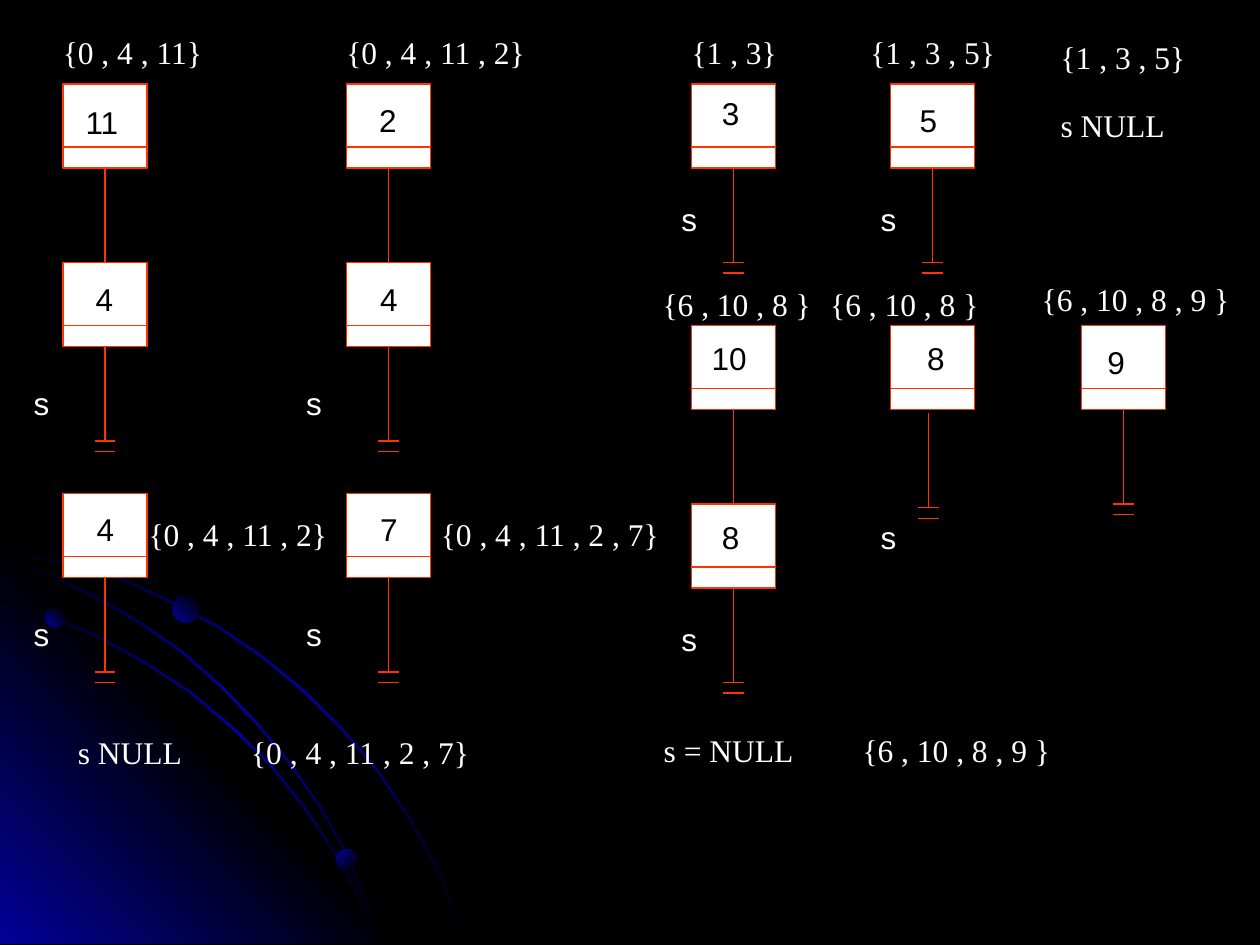
from lxml import etree
from pptx import Presentation
from pptx.dml.color import RGBColor
from pptx.enum import shapes, text
from pptx.oxml.ns import qn
from pptx.util import Pt

BLACK = RGBColor(0x00, 0x00, 0x00)
WHITE = RGBColor(0xFF, 0xFF, 0xFF)
ORANGE = RGBColor(0xFF, 0x33, 0x00)
BLUE = RGBColor(0x01, 0x01, 0x99)

SANS, SERIF = "Arial", "Times New Roman"
NODE, DIVIDER, STEM = 48, 36, 54
BAR_HALF, BAR_GAP = 6, 6
COL_A, COL_B, COL_C, COL_D, COL_E = 36, 198, 395.3, 509, 618

ARCS = [
    [(0, 313.2), (20.2, 317.5), (41, 321.8), (70.6, 330.5), (97.9, 343.4),
     (125.3, 357.8), (150.5, 375.1), (174.2, 394.6), (195.8, 416.2), (216, 439.9),
     (234, 466.6), (244.1, 484.6), (253.4, 502.6), (260.6, 520.6), (267.8, 539.3)],
    [(0, 342), (29.5, 351.4), (56.9, 363.6), (84.2, 378.7), (109.4, 395.3),
     (132.5, 414.7), (154.8, 436.3), (174.2, 460.8), (191.5, 486.7),
     (205.9, 512.6), (213.1, 525.6), (218.2, 539.3)],
    [(0, 318.2), (28.1, 327.6), (54.7, 340.6), (79.9, 355), (103.7, 371.5),
     (126, 391), (146.9, 412.6), (164.9, 434.2), (182.9, 460.1),
     (193.7, 478.8), (203, 499), (211.7, 518.4), (218.2, 539.3)],
]
CORNER = [(231.8, 539.3), (0, 539.3), (0, 307.4)]
PLANETS = [(25.9, 347.8, 10.8, 315), (192.2, 485.3, 11.5, 45), (98.6, 340.6, 15.1, 315)]

CHAINS = [
    (COL_A, 48, ["11", "4"], 102),
    (COL_B, 48, ["2", "4"], 102),
    (COL_A, 282, ["4"], 0),
    (COL_B, 282, ["7"], 0),
    (COL_C, 48, ["3"], 0),
    (COL_D, 48, ["5"], 0),
    (COL_C, 186, ["10", "8"], 102),
    (COL_E, 186, ["9"], 0),
]
VALUES = [
    ("11", 41.8, 55.4), ("2", 209.5, 54), ("4", 47.5, 156.2), ("4", 210.2, 156.2),
    ("4", 48.2, 288), ("7", 210.2, 288), ("3", 405.4, 50.4), ("5", 518.4, 54),
    ("10", 399.6, 190.1), ("8", 522.7, 190.1), ("9", 625.7, 192.2), ("8", 405.4, 292.3),
]
POINTERS = [(12.2, 347.8), (167.8, 347.8), (12.2, 216), (167.8, 216),
            (382.3, 110.9), (496.1, 110.9), (382.3, 350.6), (496.1, 292.3)]
STATES = [
    ("{0 , 4 , 11}", 28.8, 15.1, 100), ("{0 , 4 , 11 , 2}", 190.8, 15.1, 122.4),
    ("{0 , 4 , 11 , 2}", 77.8, 290.9, 122.4), ("{0 , 4 , 11 , 2 , 7}", 244.8, 290.9, 144.7),
    ("s NULL", 37.4, 415.4, 79.2), ("{0 , 4 , 11 , 2 , 7}", 136.4, 415.4, 144.7),
    ("{1 , 3}", 388.1, 15.1, 68.4), ("{1 , 3 , 5}", 490.3, 15.1, 90.7),
    ("{1 , 3 , 5}", 599, 18, 90.7), ("s NULL", 599, 56.9, 79.2),
    ("{6 , 10 , 8 }", 371.5, 159.1, 104.4), ("{6 , 10 , 8 }", 467.3, 159.1, 104.4),
    ("{6 , 10 , 8 , 9 }", 588.2, 156.2, 126.7),
    ("s = NULL", 372.2, 414, 93), ("{6 , 10 , 8 , 9 }", 485.8, 414, 126.7),
]


def fade(shape, colors, angle):
    shape.shadow.inherit = False
    shape.line.fill.background()
    shape.fill.gradient()
    shape.fill.gradient_angle = 360 - angle
    stops = shape._element.spPr.find(".//" + qn("a:gsLst"))
    for stop in list(stops):
        stops.remove(stop)
    for index, color in enumerate(colors):
        position = 100000 * index // (len(colors) - 1)
        stop = etree.SubElement(stops, qn("a:gs"), pos=str(position))
        etree.SubElement(stop, qn("a:srgbClr"), val=str(color))


def add_outline(slide, points, colors, angle):
    corners = [(Pt(x), Pt(y)) for x, y in points]
    builder = slide.shapes.build_freeform(*corners[0], scale=1.0)
    builder.add_line_segments(corners[1:], close=True)
    fade(builder.convert_to_shape(), colors, angle)


def add_arc(slide, outer):
    last = len(outer) - 1
    inner = [(x - 1.44 * i / last, y + 1.8 * (1 - i / last)) if i else (x, y + 1.8)
             for i, (x, y) in enumerate(outer)]
    add_outline(slide, outer + inner[::-1], [BLACK, BLUE, BLACK], 45)


def add_planet(slide, left, top, size, angle):
    planet = slide.shapes.add_shape(
        shapes.MSO_SHAPE.OVAL, Pt(left), Pt(top), Pt(size), Pt(size))
    fade(planet, [BLUE, BLACK], angle)


def add_line(slide, x1, y1, x2, y2):
    line = slide.shapes.add_connector(
        shapes.MSO_CONNECTOR.STRAIGHT, Pt(x1), Pt(y1), Pt(x2), Pt(y2))
    line.line.color.rgb = ORANGE
    line.line.width = Pt(0.75)
    etree.SubElement(line._element.spPr, qn("a:effectLst"))
    return line


def add_node(slide, left, top):
    node = slide.shapes.add_shape(
        shapes.MSO_SHAPE.RECTANGLE, Pt(left), Pt(top), Pt(NODE), Pt(NODE))
    node.shadow.inherit = False
    node.fill.solid()
    node.fill.fore_color.rgb = WHITE
    node.line.color.rgb = ORANGE
    node.line.width = Pt(0.75)
    add_line(slide, left, top + DIVIDER, left + NODE, top + DIVIDER)
    return node


def add_ground(slide, center, top):
    stem = add_line(slide, center, top, center, top + STEM)
    for y in (top + STEM, top + STEM + BAR_GAP):
        add_line(slide, center - BAR_HALF, y, center + BAR_HALF, y)
    return stem


def add_chain(slide, left, top, values, pitch):
    center = left + NODE / 2
    nodes = [add_node(slide, left, top + pitch * i) for i in range(len(values))]
    for upper, lower in zip(nodes, nodes[1:]):
        link = add_line(slide, center, top + NODE, center, top + pitch)
        link.begin_connect(upper, 2)
        link.end_connect(lower, 0)
    bottom = top + pitch * (len(nodes) - 1) + NODE
    add_ground(slide, center, bottom).begin_connect(nodes[-1], 2)


def add_label(slide, words, left, top, width, font, color):
    label = slide.shapes.add_textbox(Pt(left), Pt(top), Pt(width), Pt(29))
    frame = label.text_frame
    frame.word_wrap = False
    frame.auto_size = text.MSO_AUTO_SIZE.SHAPE_TO_FIT_TEXT
    frame.text = words
    run_font = frame.paragraphs[0].runs[0].font
    run_font.name = font
    run_font.size = Pt(18)
    run_font.color.rgb = color


def main():
    deck = Presentation()
    deck.slide_width, deck.slide_height = Pt(720), Pt(540)
    slide = deck.slides.add_slide(deck.slide_layouts[6])
    slide.background.fill.solid()
    slide.background.fill.fore_color.rgb = BLACK

    add_arc(slide, ARCS[0])
    add_outline(slide, CORNER, [BLUE, BLACK, BLUE], 315)
    for arc in ARCS[1:]:
        add_arc(slide, arc)
    for planet in PLANETS:
        add_planet(slide, *planet)

    for chain in CHAINS:
        add_chain(slide, *chain)
    add_node(slide, COL_D, 186)
    add_ground(slide, 530.5, 236.2)

    for left, top in POINTERS:
        add_label(slide, "s", left, top, 23.8, SANS, WHITE)
    for words, left, top, width in STATES:
        add_label(slide, words, left, top, width, SERIF, WHITE)
    for value, left, top in VALUES:
        add_label(slide, value, left, top, 14.4 + 10 * len(value), SANS, BLACK)

    deck.save("out.pptx")


if __name__ == "__main__":
    main()
